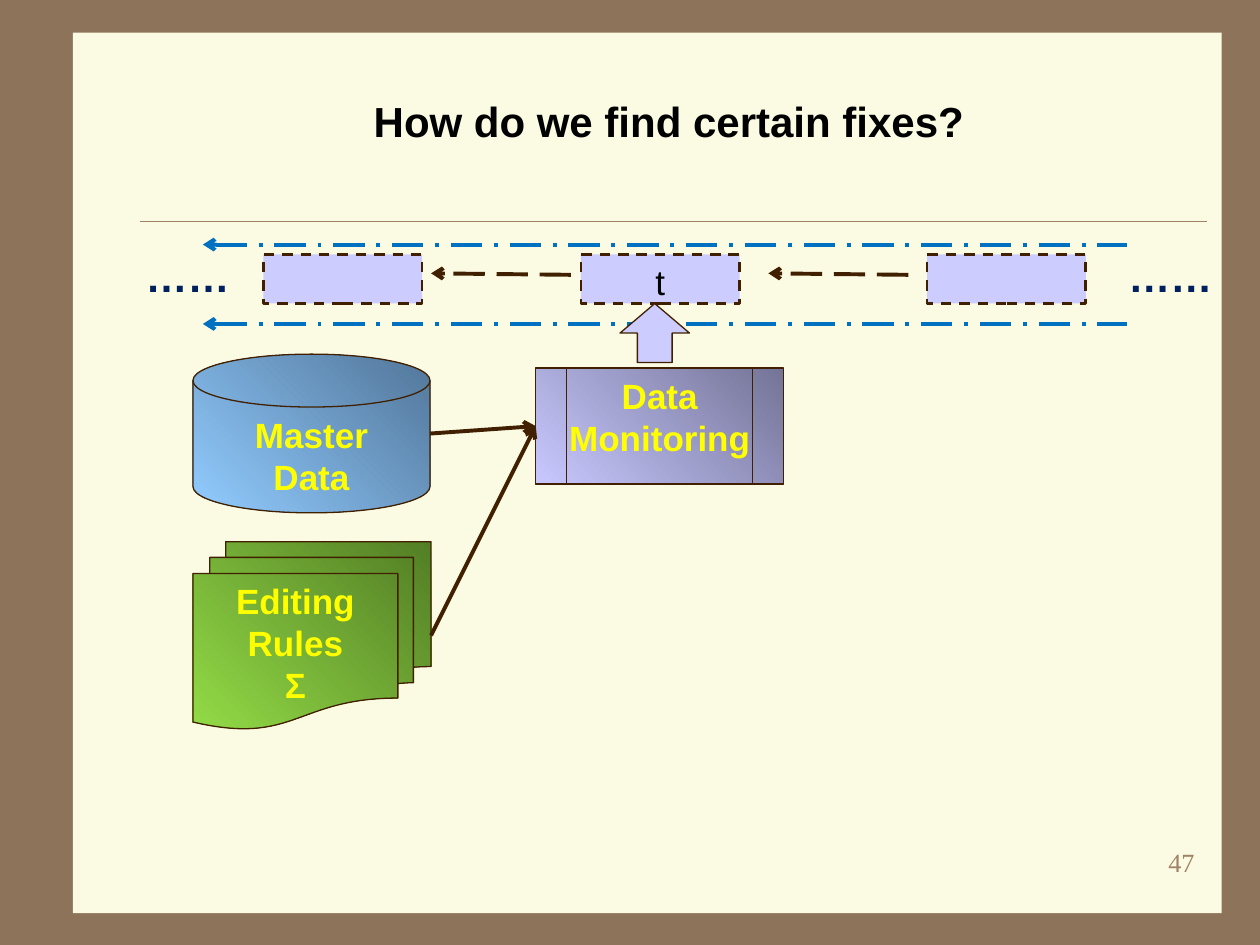
from pptx import Presentation
from pptx.dml.color import RGBColor
from pptx.enum.dml import MSO_LINE as Dash
from pptx.enum.shapes import MSO_CONNECTOR as Conn, MSO_SHAPE as Form
from pptx.enum.text import MSO_ANCHOR as Anchor, PP_ALIGN as Align
from pptx.oxml.ns import qn
from pptx.util import Cm, Pt
from lxml.etree import SubElement


def tint(code):
    return RGBColor.from_string(code)


class Board:
    """Hold the style and the current slide, and draw each kind of element."""

    ink, lilac, sea, gold = "402000", "CCCCFF", "0070C0", "FFFF00"
    font = "Arial"

    def __init__(self, slide, back):
        self.slide = slide
        fill = slide.background.fill
        fill.solid()
        fill.fore_color.rgb = tint(back)

    def label(self, shape, lines, size, color, bold=False, font=None,
              align=Align.CENTER, anchor=Anchor.TOP, wrap=False):
        frame = shape.text_frame
        frame.word_wrap = wrap
        frame.vertical_anchor = anchor
        for i, line in enumerate(lines):
            para = frame.add_paragraph() if i else frame.paragraphs[0]
            para.alignment = align
            run = para.add_run()
            run.text = line
            face = run.font
            face.name, face.size, face.bold = font or self.font, Pt(size), bold
            face.color.rgb = tint(color)

    def text(self, box, line, size, color, **style):
        shape = self.slide.shapes.add_textbox(*map(Cm, box))
        self.label(shape, [line], size, color, wrap=True, **style)

    def shape(self, form, box, fill, width=0.75, dash=None):
        shape = self.slide.shapes.add_shape(form, *map(Cm, box))
        shape.shadow.inherit = False
        if isinstance(fill, tuple):
            shape.fill.gradient()
            shape.fill.gradient_angle = 225
            for stop, code, pos in zip(shape.fill.gradient_stops, fill, (0, 1)):
                stop.color.rgb, stop.position = tint(code), pos
        else:
            shape.fill.solid()
            shape.fill.fore_color.rgb = tint(fill)
        if width:
            self.stroke(shape.line, self.ink, width, dash)
        else:
            shape.line.fill.background()
        return shape

    def stroke(self, line, color, width, dash):
        line.color.rgb = tint(color)
        line.width = Pt(width)
        if dash:
            line.dash_style = dash

    def line(self, start, end, color=ink, width=2.25, dash=None, tip="tailEnd"):
        link = self.slide.shapes.add_connector(
            Conn.STRAIGHT, *map(Cm, (*start, *end)))
        self.stroke(link.line, color, width, dash)
        props = link._element.spPr
        if tip:
            SubElement(props.find(qn("a:ln")), qn("a:" + tip), type="arrow")
        SubElement(props, qn("a:effectLst"))
        return link


def main():
    deck = Presentation()
    deck.slide_width, deck.slide_height = Cm(25.4), Cm(19.05)
    board = Board(deck.slides.add_slide(deck.slide_layouts[6]), "8C735A")

    board.shape(Form.RECTANGLE, (1.47, 0.66, 23.16, 17.75), "FBFAE2", width=0)
    board.line((2.82, 4.45), (24.33, 4.45), "A08366", 0.25, tip=None)
    board.text((19.05, 16.94, 5.28, 1.27), "47", 15, "A08366",
               font="Times New Roman", align=Align.RIGHT)
    board.text((2.69, 1.32, 21.59, 2.21), "How do we find certain fixes?", 24,
               "000000", bold=True, anchor=Anchor.MIDDLE)

    for y in (4.93, 6.53):
        board.line((4.09, y), (22.71, y), board.sea,
                   dash=Dash.LONG_DASH_DOT, tip="headEnd")
    for x, name in ((5.31, ""), (11.71, "t"), (18.69, "")):
        item = board.shape(Form.RECTANGLE, (x, 5.13, 3.2, 0.99), board.lilac,
                           1.5, Dash.DASH)
        if name:
            board.label(item, [name], 20, "000000")
    for x in (2.49, 22.3):
        board.text((x, 4.93, 2.59, 1.27), "……", 24, "002060", bold=True)

    nodes = []
    for form, box, fill, lines in (
        (Form.FLOWCHART_MAGNETIC_DISK, (3.89, 7.14, 4.78, 3.2),
         ("52769A", "91CCFF"), ["Master", "Data"]),
        (Form.FLOWCHART_PREDEFINED_PROCESS, (10.8, 7.42, 5, 2.34),
         ("747497", "C8C8FF"), ["Data", "Monitoring"]),
        (Form.FLOWCHART_MULTIDOCUMENT, (3.89, 10.92, 4.8, 3.78),
         ("537E25", "92DA46"), ["Editing", "Rules", "Σ"]),
    ):
        node = board.shape(form, box, fill)
        board.label(node, lines, 20, board.gold, bold=True)
        nodes.append(node)
    _, watch, rules = nodes

    board.shape(Form.UP_ARROW, (12.5, 6.12, 1.4, 1.19), board.lilac)
    feed = board.line((8.67, 8.74), (10.8, 8.59))
    feed.end_connect(watch, 1)
    guide = board.line((8.69, 12.81), (10.8, 8.59))
    guide.begin_connect(rules, 3)
    guide.end_connect(watch, 1)
    for x in (18.31, 11.51):
        board.line((x, 5.54), (x - 2.82, 5.51), dash=Dash.LONG_DASH)

    deck.save("out.pptx")


if __name__ == "__main__":
    main()
